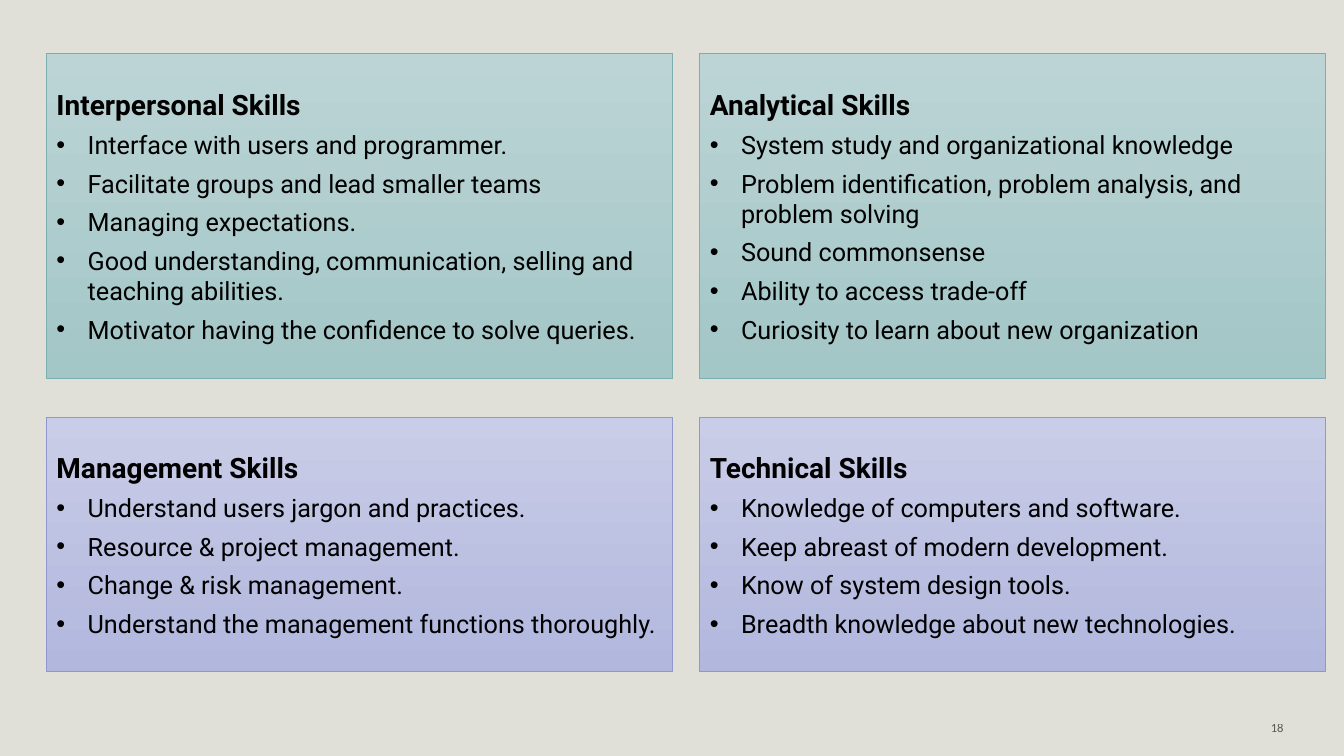
from dataclasses import dataclass
from typing import Any

from lxml.etree import SubElement
from pptx import Presentation
from pptx.dml.color import RGBColor
from pptx.enum.shapes import MSO_SHAPE
from pptx.enum.text import MSO_ANCHOR, MSO_AUTO_SIZE, PP_ALIGN
from pptx.oxml.ns import qn
from pptx.util import Inches, Pt


@dataclass(frozen=True)
class Tone:
    top: str
    bottom: str
    border: str


@dataclass(frozen=True)
class Theme:
    teal: Tone = Tone("BCD4D5", "A3C6C7", "7AAEAF")
    violet: Tone = Tone("C9CDE7", "B2B7DE", "8F97CE")
    backdrop: str = "D4D2C8"
    ink: str = "000000"
    body_font: str = "Roboto"
    number_font: str = "Calibri"
    heading_size: int = 20
    bullet_size: int = 18
    number_size: int = 9


@dataclass(frozen=True)
class Grid:
    left: float = 0.46
    column: float = 6.21
    gutter: float = 0.27
    tops: tuple[float, ...] = (0.53, 4.14)
    heights: tuple[float, ...] = (3.22, 2.52)

    def box(self, column: int, row: int) -> dict[str, int]:
        left = self.left + column * (self.column + self.gutter)
        return box(left, self.tops[row], self.column, self.heights[row])


@dataclass(frozen=True)
class SkillSet:
    heading: str
    column: int
    row: int
    tone: Tone
    skills: tuple[str, ...]


THEME = Theme()
GRID = Grid()
SLIDE_WIDTH, SLIDE_HEIGHT = 13.33, 7.5
BULLET_INDENT = Inches(0.31)
FRAME_FORMAT = {
    "word_wrap": True,
    "auto_size": MSO_AUTO_SIZE.NONE,
    "vertical_anchor": MSO_ANCHOR.MIDDLE,
}
PARAGRAPH_FORMAT = {
    "alignment": PP_ALIGN.LEFT,
    "space_before": Pt(0),
    "space_after": Pt(6),
    "line_spacing": 1.0,
}
HEADING_FORMAT = {"name": THEME.body_font, "size": Pt(THEME.heading_size), "bold": True}
BULLET_FORMAT = {"name": THEME.body_font, "size": Pt(THEME.bullet_size), "bold": False}
NUMBER_FORMAT = {"name": THEME.number_font, "size": Pt(THEME.number_size)}

SKILL_SETS = (
    SkillSet("Interpersonal Skills", 0, 0, THEME.teal, (
        "Interface with users and programmer.",
        "Facilitate groups and lead smaller teams",
        "Managing expectations.",
        "Good understanding, communication, selling and teaching abilities.",
        "Motivator having the confidence to solve queries.",
    )),
    SkillSet("Analytical Skills", 1, 0, THEME.teal, (
        "System study and organizational knowledge",
        "Problem identification, problem analysis, and problem solving",
        "Sound commonsense",
        "Ability to access trade-off",
        "Curiosity to learn about new organization",
    )),
    SkillSet("Management Skills", 0, 1, THEME.violet, (
        "Understand users jargon and practices.",
        "Resource & project management.",
        "Change & risk management.",
        "Understand the management functions thoroughly.",
    )),
    SkillSet("Technical Skills", 1, 1, THEME.violet, (
        "Knowledge of computers and software.",
        "Keep abreast of modern development.",
        "Know of system design tools.",
        "Breadth knowledge about new technologies.",
    )),
)


def box(left: float, top: float, width: float, height: float) -> dict[str, int]:
    return {"left": Inches(left), "top": Inches(top),
            "width": Inches(width), "height": Inches(height)}


def apply(target: Any, values: dict[str, Any]) -> None:
    for attribute, value in values.items():
        setattr(target, attribute, value)


def set_opacity(element: Any, percent: int) -> None:
    for color in element.iter(qn("a:srgbClr")):
        SubElement(color, qn("a:alpha"), val=str(percent * 1000))


def format_font(font: Any, values: dict[str, Any]) -> None:
    apply(font, values)
    font.color.rgb = RGBColor.from_string(THEME.ink)


def write_line(paragraph: Any, text: str, values: dict[str, Any], bulleted: bool) -> None:
    apply(paragraph, PARAGRAPH_FORMAT)
    run = paragraph.add_run()
    run.text = text
    format_font(run.font, values)
    properties = paragraph._p.get_or_add_pPr()
    indent = BULLET_INDENT if bulleted else 0
    properties.set("marL", str(indent))
    properties.set("indent", str(-indent))
    if bulleted:
        SubElement(properties, qn("a:buFont"), typeface="Arial")
        SubElement(properties, qn("a:buChar"), char="•")
    else:
        SubElement(properties, qn("a:buNone"))


def draw_backdrop(slide: Any) -> None:
    backdrop = slide.shapes.add_shape(
        MSO_SHAPE.RECTANGLE, **box(0, 0, SLIDE_WIDTH, SLIDE_HEIGHT))
    backdrop.shadow.inherit = False
    backdrop.fill.solid()
    backdrop.fill.fore_color.rgb = RGBColor.from_string(THEME.backdrop)
    backdrop.line.fill.background()
    set_opacity(backdrop.fill._xPr, 70)
    slide.placeholders[1]._element.addprevious(backdrop._element)


def draw_panel(panel: Any, skill_set: SkillSet) -> None:
    apply(panel, GRID.box(skill_set.column, skill_set.row))
    tone = skill_set.tone
    panel.fill.gradient()
    panel.fill.gradient_angle = 270
    for stop, color in zip(panel.fill.gradient_stops, (tone.top, tone.bottom)):
        stop.color.rgb = RGBColor.from_string(color)
    panel.line.color.rgb = RGBColor.from_string(tone.border)
    panel.line.width = Pt(0.5)
    frame = panel.text_frame
    apply(frame, FRAME_FORMAT)
    write_line(frame.paragraphs[0], skill_set.heading, HEADING_FORMAT, False)
    for skill in skill_set.skills:
        write_line(frame.add_paragraph(), skill, BULLET_FORMAT, True)


def draw_page_number(slide: Any) -> None:
    frame = slide.shapes.add_textbox(**box(9.83, 7.02, 3, 0.4)).text_frame
    apply(frame, FRAME_FORMAT)
    paragraph = frame.paragraphs[0]
    paragraph.alignment = PP_ALIGN.RIGHT
    run = paragraph.add_run()
    run.text = "18"
    format_font(run.font, NUMBER_FORMAT)
    set_opacity(run._r, 60)


def main() -> None:
    deck = Presentation()
    apply(deck, {"slide_width": Inches(SLIDE_WIDTH), "slide_height": Inches(SLIDE_HEIGHT)})
    slide = deck.slides.add_slide(deck.slide_layouts.get_by_name("Comparison"))
    title = slide.shapes.title._element
    title.getparent().remove(title)
    draw_backdrop(slide)
    for panel, skill_set in zip(list(slide.placeholders), SKILL_SETS):
        draw_panel(panel, skill_set)
    draw_page_number(slide)
    deck.save("out.pptx")


if __name__ == "__main__":
    main()
